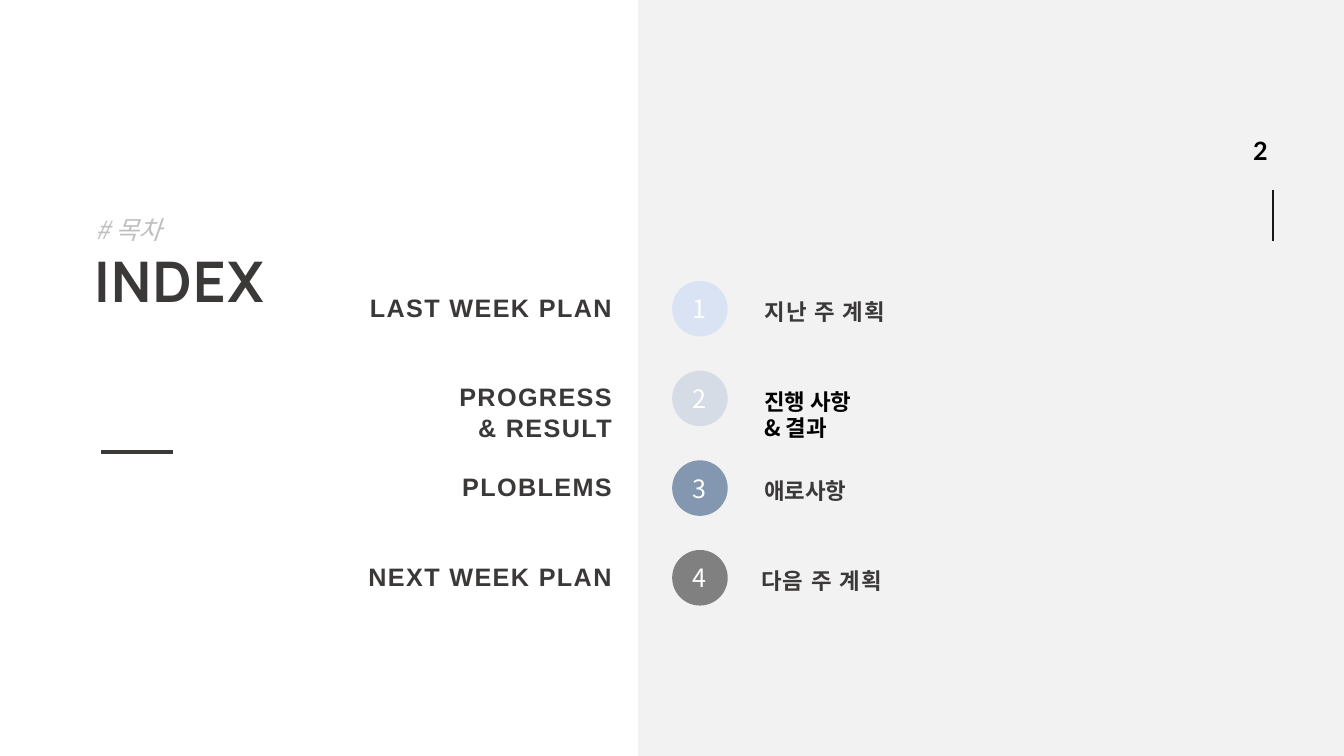
import pptx
import pptx.util
import pptx.dml.color
import pptx.enum.shapes
import pptx.enum.text
import pptx.oxml.ns
import lxml.etree

Cm = pptx.util.Cm
Pt = pptx.util.Pt
SHAPE = pptx.enum.shapes.MSO_SHAPE
ALIGN = pptx.enum.text.PP_ALIGN
ANCHOR = pptx.enum.text.MSO_ANCHOR
FIT = pptx.enum.text.MSO_AUTO_SIZE

DARK = "3B3838"
SANS = "Noto Sans CJK KR"
ROWS = [
    ("LAST WEEK PLAN", "지난 주 계획", "DAE3F3", DARK, 1, 11.99),
    ("PROGRESS\n& RESULT", "진행 사항\n& 결과", "D6DCE5", "000000", 0, 11.99),
    ("PLOBLEMS", "애로사항", "8497B0", DARK, 0, 11.99),
    ("NEXT WEEK PLAN", "다음 주 계획", "808080", DARK, 1, 11.91),
]


def paint(fmt, color):
    """Give a font or fill format a solid hex colour."""
    if hasattr(fmt, "solid"):
        fmt.solid()
        fmt = fmt.fore_color
    else:
        fmt = fmt.color
    fmt.rgb = pptx.dml.color.RGBColor.from_string(color)


def write(shape, text, font=SANS, size=18, color=DARK, bold=False,
          italic=False, gap=0, align=ALIGN.LEFT, anchor=ANCHOR.TOP,
          wrap=True, fit=FIT.NONE, lead=None, before=None):
    """Fill a shape with formatted text, one paragraph per line."""
    frame = shape.text_frame
    frame.word_wrap = wrap
    frame.auto_size = fit
    frame.vertical_anchor = anchor
    frame.margin_left = frame.margin_right = Cm(0.13)
    frame.margin_top = frame.margin_bottom = Cm(0.13)
    frame.text = text
    for para in frame.paragraphs:
        para.alignment = align
        if lead is not None:
            para.line_spacing = lead
        if before is not None:
            para.space_before = before
        for run in para.runs:
            run.font.name = font
            run.font.size = Pt(size)
            run.font.bold = bold
            run.font.italic = italic
            paint(run.font, color)
            props = run._r.get_or_add_rPr()
            if gap:
                props.set("spc", str(gap * 100))
            east = lxml.etree.SubElement(props, pptx.oxml.ns.qn("a:ea"))
            east.set("typeface", font)


def label(shapes, x, y, w, h, text, **style):
    """Add a text box with formatted text."""
    box = shapes.add_textbox(Cm(x), Cm(y), Cm(w), Cm(h))
    write(box, text, **style)


def solid(shapes, kind, x, y, w, h, color):
    """Add a flat shape with no outline."""
    shape = shapes.add_shape(kind, Cm(x), Cm(y), Cm(w), Cm(h))
    shape.shadow.inherit = False
    paint(shape.fill, color)
    shape.line.fill.background()


def rule(shapes, x, y, w, h, color, width):
    """Add a straight line without shadow."""
    kind = pptx.enum.shapes.MSO_CONNECTOR.STRAIGHT
    line = shapes.add_connector(kind, Cm(x), Cm(y), Cm(x + w), Cm(y + h))
    paint(line.line.fill, color)
    line.line.width = Pt(width)
    lxml.etree.SubElement(line.element.spPr, pptx.oxml.ns.qn("a:effectLst"))


def panel(shapes, x, y, w, h):
    """Draw the grey half with the page number and its line."""
    solid(shapes, SHAPE.RECTANGLE, x, y, w, h, "F2F2F2")
    rule(shapes, x + 16, y + 4.78, 0, 1.29, "181717", 1.5)
    label(shapes, x + 15.37, y + 3.28, 0.64, 1.04, "2", font="Lato",
          color="000000", bold=True, wrap=False, fit=FIT.SHAPE_TO_FIT_TEXT)


def heading(shapes, x, y, w, h):
    """Place the title, the tag above it and the bar below."""
    title = shapes.title
    title.left, title.top = Cm(x), Cm(y + 0.86)
    title.width, title.height = Cm(w), Cm(h)
    write(title, "INDEX", font="Manrope", size=40, bold=True, gap=1, lead=0.9)
    rule(shapes, x + 0.3, y + 5.99, 1.83, 0, DARK, 2.75)
    label(shapes, x + 0.05, y, 11, 1.04, "# 목차", color="BFBFBF",
          italic=True, lead=Pt(18), before=Pt(12))


def entry(shapes, x, y, num, row):
    """Place one index row: English name, numbered disc, Korean name."""
    name, local, tint, ink, gap, start = row
    label(shapes, x, y + 0.15, 8.41, 1.04, name, font="Arial", bold=True,
          gap=1, align=ALIGN.RIGHT, fit=FIT.SHAPE_TO_FIT_TEXT)
    disc = shapes.add_group_shape().shapes
    solid(disc, SHAPE.OVAL, x + 9.8, y, 1.4, 1.4, tint)
    label(disc, x + 10, y + 0.18, 1, 1.04, str(num), color="FFFFFF",
          align=ALIGN.CENTER, anchor=ANCHOR.MIDDLE,
          fit=FIT.SHAPE_TO_FIT_TEXT)
    label(shapes, x + start, y + 0.3, 6.8, 0.95, local, size=16, color=ink,
          bold=True, gap=gap, fit=FIT.SHAPE_TO_FIT_TEXT)


def index(shapes, x, y, pitch):
    """Stack the index rows at an equal pitch."""
    for num, row in enumerate(ROWS):
        entry(shapes, x, y + num * pitch, num + 1, row)


def main():
    """Build and save the index slide."""
    deck = pptx.Presentation()
    deck.slide_width, deck.slide_height = Cm(33.87), Cm(19.05)
    shapes = deck.slides.add_slide(deck.slide_layouts[5]).shapes
    panel(shapes, 16.08, 0, 17.79, 19.05)
    heading(shapes, 2.24, 5.41, 9.02, 3.76)
    index(shapes, 7.14, 7.08, 2.26)
    deck.save("out.pptx")


if __name__ == "__main__":
    main()
